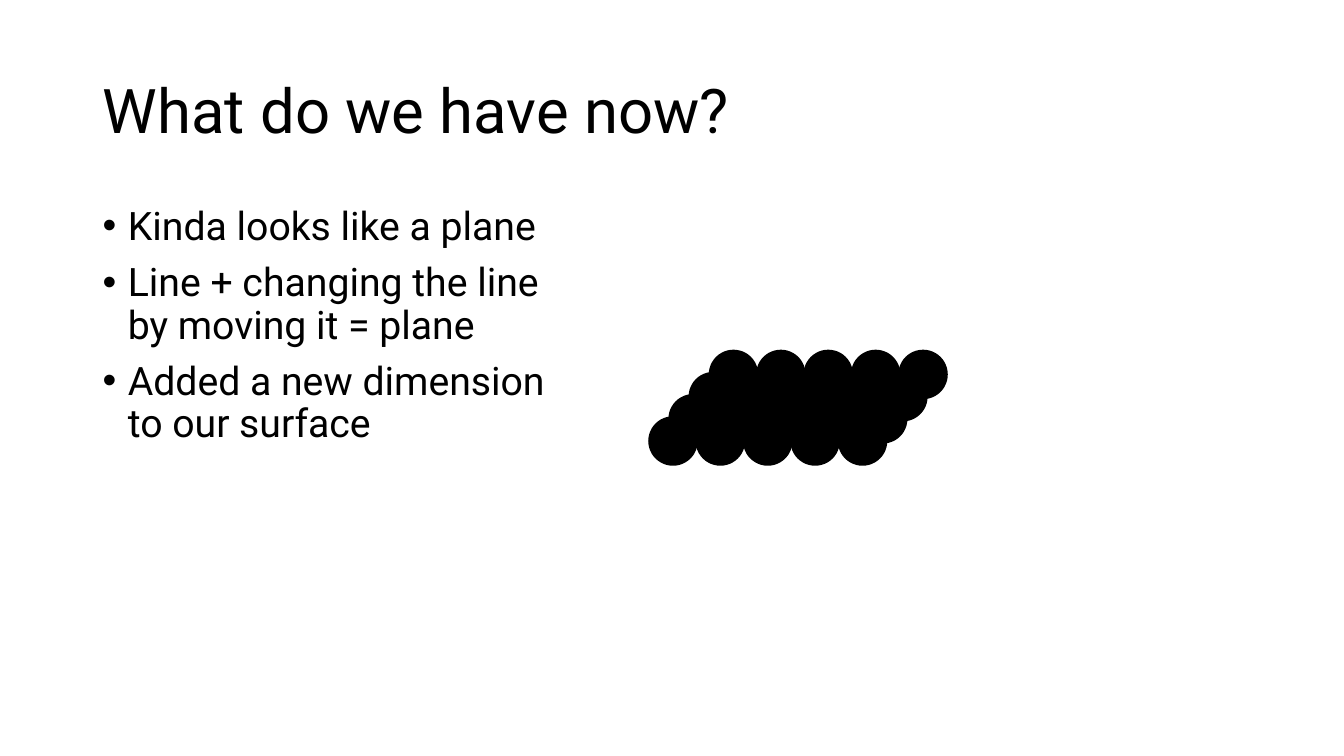
"""Build the slide showing a plane made from a moved line of dots."""
from lxml import etree
from pptx import Presentation
from pptx import util as u
from pptx.dml import color
from pptx.enum import shapes, text
from pptx.oxml import ns

COLORS = {"ink": "000000", "background": "FFFFFF"}
INK = color.RGBColor.from_string(COLORS["ink"])
FONT = "Roboto"
POINTS = [
    "Kinda looks like a plane",
    "Line + changing the line by moving it = plane",
    "Added a new dimension to our surface",
]
ROWS, COLUMNS = 4, 5
DOT_SIZE = 0.47
ROW_SHIFT, ROW_RISE = 0.2, 0.22
FIRST_LEFT, FIRST_TOP = 6.44, 4.14


def format_paragraph(paragraph, size):
    paragraph.line_spacing = 0.9
    paragraph.font.name = FONT
    paragraph.font.size = u.Pt(size)
    paragraph.font.color.rgb = INK


presentation = Presentation()
presentation.slide_width = u.Inches(13.33)
presentation.slide_height = u.Inches(7.5)
slide = presentation.slides.add_slide(presentation.slide_layouts[5])
slide.background.fill.solid()
slide.background.fill.fore_color.rgb = color.RGBColor.from_string(COLORS["background"])

title = slide.shapes.title
title.left, title.top = u.Inches(0.92), u.Inches(0.4)
title.width, title.height = u.Inches(11.5), u.Inches(1.45)
title.text_frame.text = "What do we have now?"
title.text_frame.vertical_anchor = text.MSO_ANCHOR.MIDDLE
title.text_frame.paragraphs[0].alignment = text.PP_ALIGN.LEFT
format_paragraph(title.text_frame.paragraphs[0], 44)

body = slide.shapes.add_textbox(u.Inches(0.92), u.Inches(2), u.Inches(4.83), u.Inches(4.76))
body.text_frame.word_wrap = True
body.text_frame.text = "\n".join(POINTS)
for index, paragraph in enumerate(body.text_frame.paragraphs):
    properties = paragraph._p.get_or_add_pPr()
    properties.set("marL", str(u.Inches(0.25)))
    properties.set("indent", str(-u.Inches(0.25)))
    etree.SubElement(properties, ns.qn("a:buFont")).set("typeface", "Arial")
    etree.SubElement(properties, ns.qn("a:buChar")).set("char", "•")
    paragraph.space_before = u.Pt(10 if index else 0)
    format_paragraph(paragraph, 28)

for row in range(ROWS):
    for column in range(COLUMNS):
        dot = slide.shapes.add_shape(
            shapes.MSO_SHAPE.OVAL,
            u.Inches(FIRST_LEFT + row * ROW_SHIFT + column * DOT_SIZE),
            u.Inches(FIRST_TOP - row * ROW_RISE),
            u.Inches(DOT_SIZE),
            u.Inches(DOT_SIZE),
        )
        dot.shadow.inherit = False
        dot.fill.solid()
        dot.fill.fore_color.rgb = INK
        dot.line.color.rgb = INK
        dot.line.width = u.Pt(1.5)

presentation.save("out.pptx")
